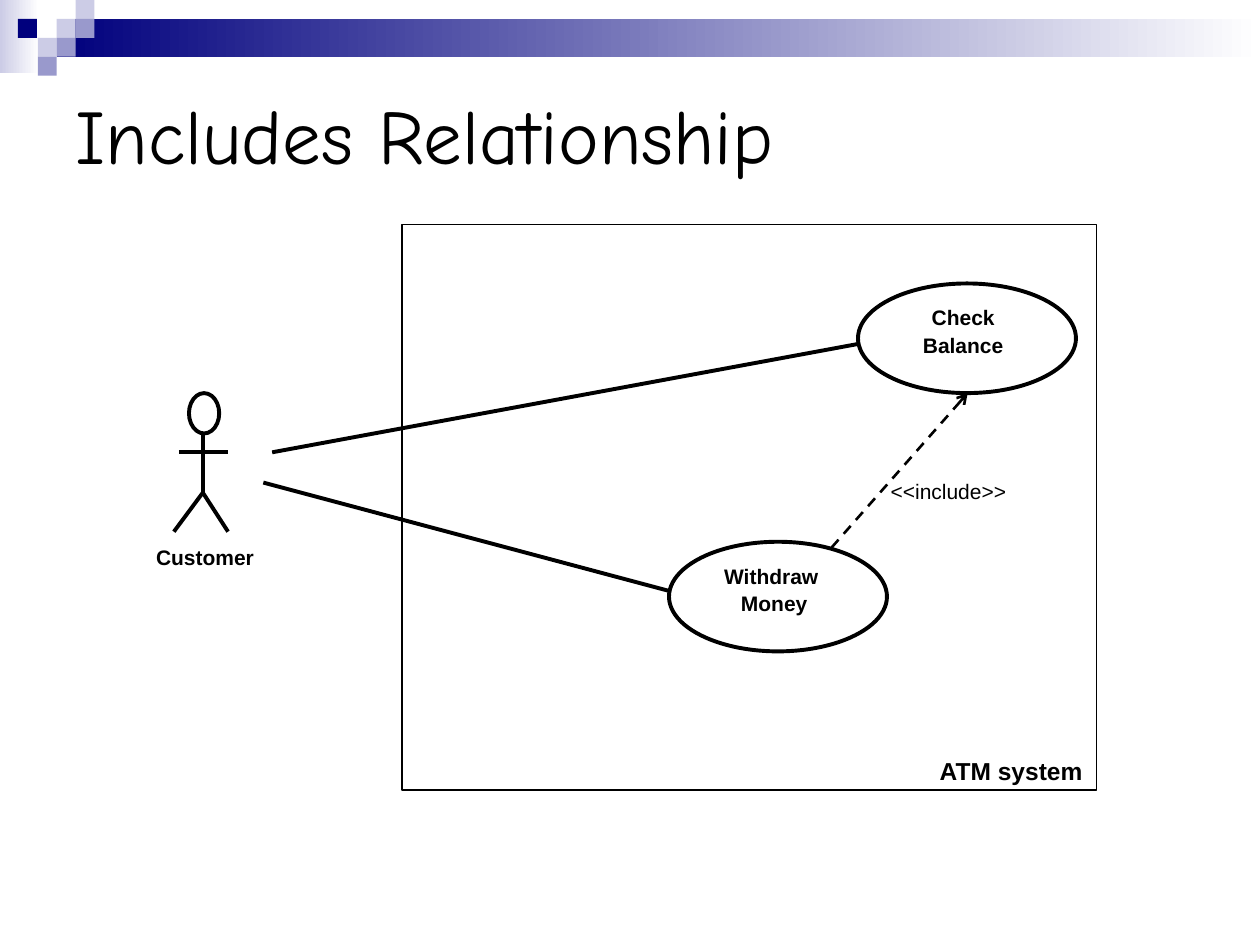
from lxml.etree import SubElement
from pptx import Presentation
from pptx.dml.color import RGBColor
from pptx.enum.dml import MSO_LINE
from pptx.enum.shapes import MSO_CONNECTOR, MSO_SHAPE
from pptx.enum.text import MSO_ANCHOR, MSO_AUTO_SIZE, PP_ALIGN
from pptx.oxml.ns import qn
from pptx.util import Inches, Pt

BLACK = RGBColor(0x00, 0x00, 0x00)
WHITE = RGBColor(0xFF, 0xFF, 0xFF)
NAVY = RGBColor(0x00, 0x00, 0x7D)
LILAC = RGBColor(0x99, 0x99, 0xCC)
PALE = RGBColor(0xCC, 0xCC, 0xE6)

deck = Presentation()
deck.slide_width, deck.slide_height = Inches(10), Inches(7.5)
slide = deck.slides.add_slide(deck.slide_layouts[5])
shapes = slide.shapes


def grid(*cells):
    """Turn columns and rows of a 100 by 75 grid into lengths."""
    return [int(deck.slide_width * cell / 100) for cell in cells]


def add_label(place, lines, size, bold, before, align=PP_ALIGN.LEFT):
    box = shapes.add_textbox(*grid(*place))
    frame = box.text_frame
    frame.word_wrap = True
    frame.auto_size = MSO_AUTO_SIZE.SHAPE_TO_FIT_TEXT
    for number, line in enumerate(lines):
        para = frame.add_paragraph() if number else frame.paragraphs[0]
        para.alignment = align
        para.space_before = Pt(before)
        span = para.add_run()
        span.text = line
        span.font.name = "Arial"
        span.font.size = Pt(size)
        span.font.bold = bold
        span.font.color.rgb = BLACK


# Banner: two fading bands, then a mosaic of squares
for place, colour in (((0, 0, 3.1, 5.8), PALE), ((4.5, 1.5, 95.5, 3), NAVY)):
    band = shapes.add_shape(MSO_SHAPE.RECTANGLE, *grid(*place))
    band.shadow.inherit = False
    band.line.fill.background()
    band.fill.gradient()
    band.fill.gradient_angle = 0
    for stop, position, shade in zip(band.fill.gradient_stops, (0, 1), (colour, WHITE)):
        stop.position = position
        stop.color.rgb = shade

TILE = 1.5
mosaic = [
    (3, 1, PALE), (4, 0, PALE), (4, 1, LILAC), (2, 2, PALE),
    (0.95, 1, NAVY), (3, 2, LILAC), (2, 3, LILAC),
]
for column, row, colour in mosaic:
    tile = shapes.add_shape(
        MSO_SHAPE.RECTANGLE, *grid(column * TILE, row * TILE, TILE, TILE))
    tile.shadow.inherit = False
    tile.line.fill.background()
    tile.fill.solid()
    tile.fill.fore_color.rgb = colour

# Title
title = shapes.title
title.left, title.top, title.width, title.height = grid(5, 5, 90, 11.2)
title.text_frame.vertical_anchor = MSO_ANCHOR.MIDDLE
title.text_frame.auto_size = MSO_AUTO_SIZE.NONE
heading = title.text_frame.paragraphs[0]
heading.alignment = PP_ALIGN.LEFT
span = heading.add_run()
span.text = "Includes Relationship"
span.font.name = "Comic Neue"
span.font.size = Pt(44)
span.font.color.rgb = BLACK

# Outlines: system boundary, actor's head and use cases
use_cases = [(53.1, 43, ("Withdraw ", "Money")), (68.1, 22.5, ("Check", "Balance"))]
outlines = [
    (MSO_SHAPE.RECTANGLE, (31.9, 17.8, 55.1, 44.9), 0.75),
    (MSO_SHAPE.OVAL, (15, 31.2, 2.4, 3.2), 2.25),
]
outlines += [(MSO_SHAPE.OVAL, (left, top, 17.3, 8.7), 2.25) for left, top, _ in use_cases]
for kind, place, weight in outlines:
    outline = shapes.add_shape(kind, *grid(*place))
    outline.shadow.inherit = False
    outline.fill.background()
    outline.line.color.rgb = BLACK
    outline.line.width = Pt(weight)

# Lines: actor's body, associations and the include arrow
NECK, HIP = (16.1, 34.4), (16.1, 39.1)
INCLUDE = ((76.8, 31.2), (65.7, 43.8))
lines = [
    (NECK, HIP),
    ((13.8, 42.2), HIP),
    (HIP, (18.1, 42.2)),
    ((14.2, 35.9), (18.1, 35.9)),
    ((20.9, 38.3), (53.1, 46.9)),
    ((21.6, 35.9), (68.1, 27.3)),
    INCLUDE,
]
for start, end in lines:
    line = shapes.add_connector(MSO_CONNECTOR.STRAIGHT, *grid(*start, *end))
    line.line.color.rgb = BLACK
    line.line.width = Pt(2.25)
    if (start, end) == INCLUDE:
        line.line.width = Pt(1.5)
        line.line.dash_style = MSO_LINE.DASH
        SubElement(line.line._get_or_add_ln(), qn("a:headEnd"), type="arrow")
    SubElement(line._element.spPr, qn("a:effectLst"))

# Labels
for left, top, words in use_cases:
    add_label((left, top + 1.2, 16.7, 5.2), words, 12, True, 1.5, PP_ALIGN.CENTER)
add_label((69.7, 37.5, 14.2, 3), ["<<include>>"], 12, False, 7.5)
add_label((11.4, 42.7, 11.8, 3), ["Customer"], 12, True, 1.5)
add_label((73.6, 59.5, 15, 3.4), ["ATM system"], 14, True, 8.8)

deck.save("out.pptx")
